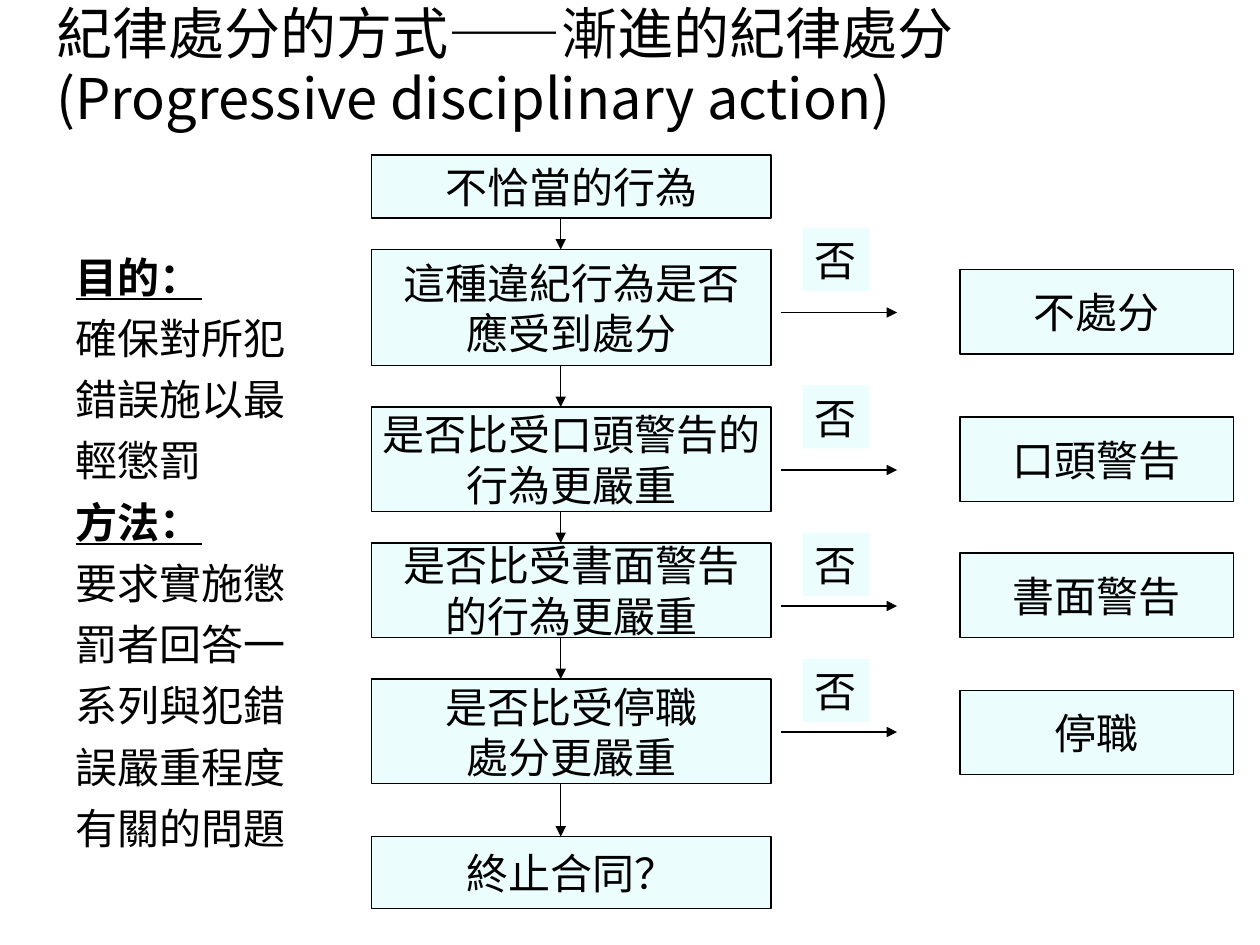
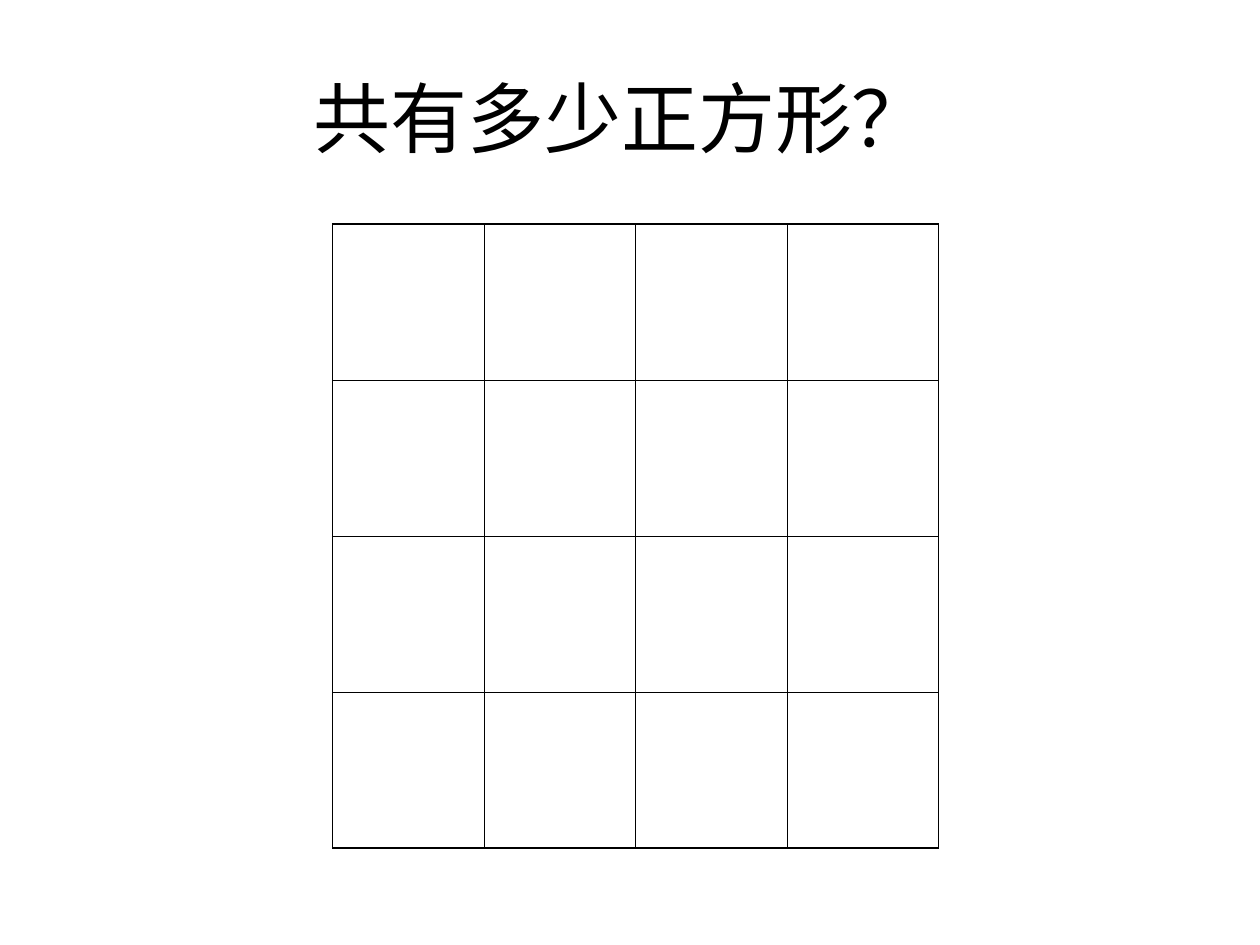
from lxml.etree import SubElement
from pptx import Presentation
from pptx.dml.color import RGBColor
from pptx.enum.shapes import MSO_CONNECTOR, MSO_SHAPE
from pptx.enum.text import MSO_ANCHOR, PP_ALIGN
from pptx.oxml.ns import qn
from pptx.util import Inches, Pt

BLACK = "000000"
PALE_CYAN = "ECFDFE"
SANS, LATIN, SERIF = "Noto Sans CJK SC", "Arial", "Times New Roman"
BODY_SIZE, BODY_PITCH = 24, 29


def color(value):
    return RGBColor.from_string(value)


def set_font(font, name, size, bold=False):
    font.name = name
    font.size = Pt(size)
    font.bold = font.underline = bold
    font.color.rgb = color(BLACK)


class Deck:
    """Holds the presentation, its style and the current slide."""

    def __init__(self):
        self.presentation = Presentation()
        self.presentation.slide_width = Inches(10)
        self.presentation.slide_height = Inches(7.5)
        self.slide = None

    def new_slide(self):
        self.slide = self.presentation.slides.add_slide(self.presentation.slide_layouts[6])

    def text(self, left, top, width, height, anchor=MSO_ANCHOR.TOP):
        frame = self.slide.shapes.add_textbox(
            Inches(left), Inches(top), Inches(width), Inches(height)).text_frame
        frame.word_wrap = True
        frame.vertical_anchor = anchor
        return frame

    def title(self, left, top, width, height, lines, size, align, pitch=None):
        """Write a title whose lines are lists of (text, font name)."""
        frame = self.text(left, top, width, height, MSO_ANCHOR.MIDDLE)
        paragraph = frame.paragraphs[0]
        paragraph.alignment = align
        if pitch:
            paragraph.line_spacing = Pt(pitch)
        for number, line in enumerate(lines):
            if number:
                paragraph.add_line_break()
            for words, name in line:
                run = paragraph.add_run()
                run.text = words
                set_font(run.font, name, size)

    def sections(self, left, top, width, height, sections):
        """Write headings, each followed by its lines."""
        frame = self.text(left, top, width, height)
        frame.margin_left = Inches(0.6)
        frame.word_wrap = False
        entries = [(words, words == heading)
                   for heading, lines in sections for words in (heading, *lines)]
        for number, (words, is_heading) in enumerate(entries):
            paragraph = frame.add_paragraph() if number else frame.paragraphs[0]
            paragraph.text = words
            paragraph.line_spacing = Pt(BODY_PITCH)
            if number:
                paragraph.space_before = Pt(6)
            set_font(paragraph.font, SANS, BODY_SIZE, is_heading)

    def box(self, left, top, width, height, words, outlined=True):
        """Draw a filled box with centred text."""
        box = self.slide.shapes.add_shape(
            MSO_SHAPE.RECTANGLE, Inches(left), Inches(top), Inches(width), Inches(height))
        box.shadow.inherit = False
        box.fill.solid()
        box.fill.fore_color.rgb = color(PALE_CYAN)
        if outlined:
            box.line.color.rgb = color(BLACK)
            box.line.width = Pt(0.75)
        else:
            box.line.fill.background()
        frame = box.text_frame
        frame.word_wrap = False
        frame.vertical_anchor = MSO_ANCHOR.MIDDLE
        frame.text = words
        for paragraph in frame.paragraphs:
            paragraph.alignment = PP_ALIGN.CENTER
            paragraph.line_spacing = Pt(BODY_PITCH)
            set_font(paragraph.font, SERIF, BODY_SIZE)

    def arrow(self, x1, y1, x2, y2):
        """Draw a thin line with a triangular head at its end."""
        arrow = self.slide.shapes.add_connector(
            MSO_CONNECTOR.STRAIGHT, Inches(x1), Inches(y1), Inches(x2), Inches(y2))
        arrow.line.color.rgb = color(BLACK)
        arrow.line.width = Pt(0.75)
        SubElement(arrow.line._get_or_add_ln(), qn("a:tailEnd"), type="triangle")
        SubElement(arrow._element.spPr, qn("a:effectLst"))

    def grid(self, left, top, width, height, count):
        """Draw an empty square table with a heavier outer frame."""
        table = self.slide.shapes.add_table(
            count, count, Inches(left), Inches(top), Inches(width), Inches(height)).table
        table.first_row = table.horz_banding = False
        last = count - 1
        for row in range(count):
            for column in range(count):
                cell = table.cell(row, column)
                outer_sides = {"lnL": column == 0, "lnR": column == last,
                               "lnT": row == 0, "lnB": row == last}
                properties = cell._tc.get_or_add_tcPr()
                for side, is_outer in outer_sides.items():
                    border = SubElement(properties, qn(f"a:{side}"),
                                        w=str(Pt(1.08 if is_outer else 0.45)))
                    fill = SubElement(border, qn("a:solidFill"))
                    SubElement(fill, qn("a:srgbClr"), val=BLACK)
                cell.fill.background()


def add_discipline_slide(deck):
    deck.new_slide()
    deck.title(0.35, 0.22, 9.65, 0.61,
               [[("紀律處分的方式", SANS), ("——", LATIN), ("漸進的紀律處分", SANS)],
                [("(Progressive disciplinary action)", SANS)]],
               32, PP_ALIGN.LEFT, pitch=37)
    deck.sections(0, 1.94, 2.69, 4.95, [
        ("目的：", ["確保對所犯", "錯誤施以最", "輕懲罰"]),
        ("方法：", ["要求實施懲", "罰者回答一", "系列與犯錯", "誤嚴重程度", "有關的問題"]),
    ])
    steps = [
        (1.23, 0.5, "不恰當的行為"),
        (1.98, 0.92, "這種違紀行為是否\n應受到處分"),
        (3.23, 0.83, "是否比受口頭警告的\n行為更嚴重"),
        (4.31, 0.75, "是否比受書面警告\n的行為更嚴重"),
        (5.39, 0.83, "是否比受停職\n處分更嚴重"),
        (6.64, 0.57, "終止合同？"),
    ]
    for top, height, words in steps:
        deck.box(2.95, top, 3.17, height, words)
    for (top, height, _), (next_top, _, _) in zip(steps, steps[1:]):
        deck.arrow(4.45, top + height, 4.45, next_top)

    outcomes = [
        (1.81, 2.48, 2.14, "不處分"),
        (3.06, 3.73, 3.31, "口頭警告"),
        (4.23, 4.81, 4.39, "書面警告"),
        (5.23, 5.81, 5.48, "停職"),
    ]
    for answer_top, arrow_y, outcome_top, words in outcomes:
        deck.arrow(6.2, arrow_y, 7.12, arrow_y)
        deck.box(7.62, outcome_top, 2.17, 0.67, words)
        deck.box(6.37, answer_top, 0.53, 0.5, "否", outlined=False)


def add_squares_slide(deck):
    deck.new_slide()
    deck.title(0.5, 0.3, 9, 1.25, [[("共有多少正方形？ ", LATIN)]], 44, PP_ALIGN.CENTER)
    deck.grid(2.64, 1.78, 4.81, 4.95, 4)


def main():
    deck = Deck()
    add_discipline_slide(deck)
    add_squares_slide(deck)
    deck.presentation.save("out.pptx")


if __name__ == "__main__":
    main()
